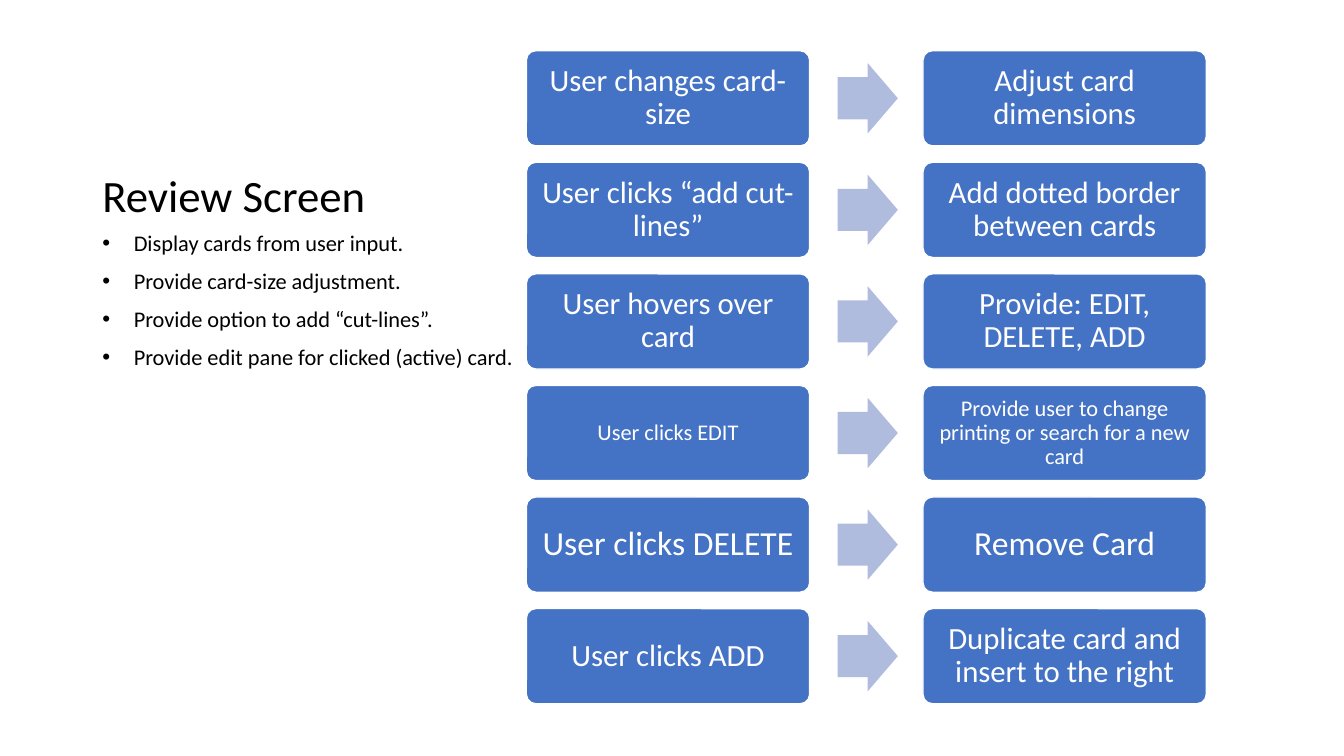
from dataclasses import dataclass

from lxml import etree
from pptx import Presentation
from pptx.dml.color import RGBColor
from pptx.enum.shapes import MSO_SHAPE
from pptx.enum.text import MSO_ANCHOR, PP_ALIGN
from pptx.oxml.ns import qn
from pptx.util import Pt

ROUNDED = MSO_SHAPE.ROUNDED_RECTANGLE
ARROW = MSO_SHAPE.RIGHT_ARROW
TOP, MIDDLE, BOTTOM = MSO_ANCHOR.TOP, MSO_ANCHOR.MIDDLE, MSO_ANCHOR.BOTTOM
LEFT, CENTER = PP_ALIGN.LEFT, PP_ALIGN.CENTER

TITLE = "Review Screen"
FEATURES = [
    "Display cards from user input.",
    "Provide card-size adjustment.",
    "Provide option to add “cut-lines”.",
    "Provide edit pane for clicked (active) card.",
]
STEPS = [
    ("User changes card-size", "Adjust card dimensions", "normal"),
    ("User clicks “add cut-lines”", "Add dotted border between cards", "normal"),
    ("User hovers over card", "Provide: EDIT, DELETE, ADD", "normal"),
    ("User clicks EDIT", "Provide user to change printing or search for a new card", "small"),
    ("User clicks DELETE", "Remove Card", "large"),
    ("User clicks ADD", "Duplicate card and insert to the right", "normal"),
]

SLIDE_WIDTH, SLIDE_HEIGHT = 960, 540
TEXT_LEFT, TEXT_WIDTH = 66, 310
TITLE_TOP, TITLE_HEIGHT = 36, 126
FEATURES_HEIGHT, FEATURE_INDENT = 300, 22.5
ACTION_LEFT, ARROW_LEFT, RESULT_LEFT = 376, 598.3, 659.3
FIRST_ROW_TOP, ROW_PITCH = 36.2, 79.7
BOX_WIDTH, BOX_HEIGHT = 202.4, 68
ARROW_WIDTH, ARROW_HEIGHT = 43, 50.2
INSET_RATIO = 0.3


@dataclass(frozen=True)
class Theme:
    """Colours, font and type sizes of the slide."""

    font: str = "Calibri"
    ink: str = "000000"
    paper: str = "FFFFFF"
    box: str = "4472C4"
    arrow: str = "B0BCDE"
    title: int = 32
    small: int = 16
    normal: int = 22
    large: int = 24


def write_text(frame, lines, *, font, size, color, align=LEFT, anchor=TOP,
               space_before=0, indent=0):
    """Fill a text frame with one paragraph per line, bulleted when indented."""
    frame.word_wrap = True
    frame.vertical_anchor = anchor
    for index, line in enumerate(lines):
        paragraph = frame.paragraphs[0] if index == 0 else frame.add_paragraph()
        paragraph.alignment = align
        paragraph.line_spacing = 0.9
        paragraph.space_before = Pt(space_before)
        run = paragraph.add_run()
        run.text = line
        run.font.name = font
        run.font.size = Pt(size)
        run.font.color.rgb = RGBColor.from_string(color)
        if indent:
            properties = paragraph._p.get_or_add_pPr()
            properties.set("marL", str(Pt(indent)))
            properties.set("indent", str(-Pt(indent)))
            etree.SubElement(properties, qn("a:buFont")).set("typeface", "Arial")
            etree.SubElement(properties, qn("a:buChar")).set("char", "•")


class SlideBuilder:
    """Draws each kind of element on the current slide in one style."""

    def __init__(self, slide, theme):
        self.slide = slide
        self.theme = theme

    def text(self, lines, left, top, width, height, size, **text_format):
        """Add a plain text box."""
        shape = self.slide.shapes.add_textbox(Pt(left), Pt(top), Pt(width), Pt(height))
        write_text(shape.text_frame, lines, font=self.theme.font, size=size,
                   color=self.theme.ink, **text_format)

    def shape(self, kind, left, top, width, height, fill, adjustments):
        """Add a flat filled shape without an outline."""
        shape = self.slide.shapes.add_shape(kind, Pt(left), Pt(top), Pt(width), Pt(height))
        shape.shadow.inherit = False
        shape.fill.solid()
        shape.fill.fore_color.rgb = RGBColor.from_string(fill)
        shape.line.fill.background()
        for index, value in enumerate(adjustments):
            shape.adjustments[index] = value
        return shape

    def box(self, label, left, top, size):
        """Add a rounded box with a centred label."""
        shape = self.shape(ROUNDED, left, top, BOX_WIDTH, BOX_HEIGHT, self.theme.box, [0.1])
        shape.line.color.rgb = RGBColor.from_string(self.theme.paper)
        shape.line.width = Pt(1)
        frame = shape.text_frame
        inset = Pt(size * INSET_RATIO)
        frame.margin_left = frame.margin_right = inset
        frame.margin_top = frame.margin_bottom = inset
        write_text(frame, [label], font=self.theme.font, size=size,
                   color=self.theme.paper, align=CENTER, anchor=MIDDLE)

    def arrow(self, left, top):
        """Add a block arrow pointing right."""
        self.shape(ARROW, left, top, ARROW_WIDTH, ARROW_HEIGHT, self.theme.arrow, [0.6, 0.5])

    def step(self, action, result, top, size):
        """Add one row that leads from a user action to its result."""
        self.box(action, ACTION_LEFT, top, size)
        self.arrow(ARROW_LEFT, top + (BOX_HEIGHT - ARROW_HEIGHT) / 2)
        self.box(result, RESULT_LEFT, top, size)


def main():
    """Build the review screen slide and save it."""
    presentation = Presentation()
    presentation.slide_width = Pt(SLIDE_WIDTH)
    presentation.slide_height = Pt(SLIDE_HEIGHT)
    slide = presentation.slides.add_slide(presentation.slide_layouts[6])
    theme = Theme()
    builder = SlideBuilder(slide, theme)

    builder.text([TITLE], TEXT_LEFT, TITLE_TOP, TEXT_WIDTH, TITLE_HEIGHT,
                 theme.title, anchor=BOTTOM)
    builder.text(FEATURES, TEXT_LEFT, TITLE_TOP + TITLE_HEIGHT, TEXT_WIDTH,
                 FEATURES_HEIGHT, theme.small, space_before=10, indent=FEATURE_INDENT)
    sizes = {"small": theme.small, "normal": theme.normal, "large": theme.large}
    for row, (action, result, size) in enumerate(STEPS):
        builder.step(action, result, FIRST_ROW_TOP + row * ROW_PITCH, sizes[size])

    presentation.save("out.pptx")


if __name__ == "__main__":
    main()
